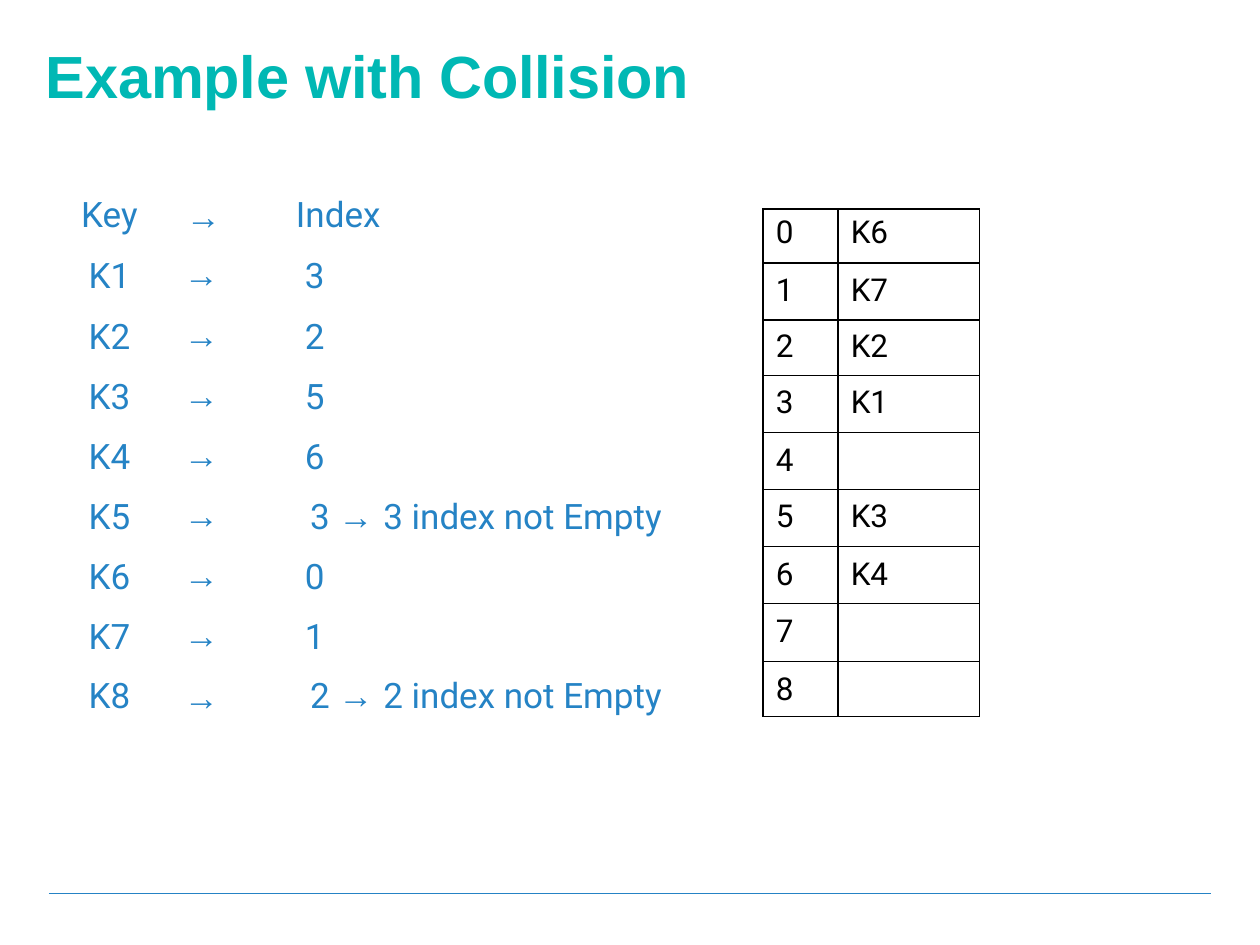
from lxml.etree import SubElement
from pptx import Presentation
from pptx.dml.color import RGBColor
from pptx.enum.shapes import MSO_CONNECTOR
from pptx.enum.text import MSO_ANCHOR, MSO_AUTO_SIZE, PP_ALIGN
from pptx.oxml.ns import qn
from pptx.util import Emu, Pt

# Content
TITLE = "Example with Collision"
ARROW = "→"
KEY_INDEXES = [
    ("Key", "Index"),
    ("K1", "3"),
    ("K2", "2"),
    ("K3", "5"),
    ("K4", "6"),
    ("K5", "3 → 3 index not Empty"),
    ("K6", "0"),
    ("K7", "1"),
    ("K8", "2 → 2 index not Empty"),
]
HASH_SLOTS = ["K6", "K7", "K2", "K1", "", "K3", "K4", "", ""]

THEME = {
    "title": "00B8B4", "mapping": "2583C5", "slot": "000000", "rule": "2583C5",
    "title_size": 34, "mapping_size": 20, "slot_size": 18,
    "title_font": "Arial", "arrow_font": "Arial", "body_font": "Roboto",
}

# Layout in px, 126 to the inch
MAPPING_COLUMNS = [93, 102, 404]
MAPPING_ROWS = [39, 71] + [60] * 6 + [49]
MAPPING_TOPS = [0, 18] + [8] * 7
SLOT_COLUMNS = [75, 142]
SLOT_ROWS = [54, 57, 56, 57, 57, 57, 57, 58, 55]
SLOT_TOPS = [5, 9, 8, 8, 9, 8, 9, 9, 9]


def px(length):
    return Emu(round(length * 914400 / 126))


def write(frame, text, *, size, color, font, bold=False, spacing=0,
          align=PP_ALIGN.LEFT, indent=0, line=None):
    """Fill the first paragraph; arrows get their own font."""
    paragraph = frame.paragraphs[0]
    paragraph.alignment = align
    paragraph._p.get_or_add_pPr().set("marL", str(px(indent)))
    paragraph._p.get_or_add_pPr().set("indent", "0")
    if line:
        paragraph.line_spacing = Pt(line)
    paragraph.font.size = Pt(size)
    before, arrow, after = text.partition(ARROW)
    gap = " " if after else ""
    pieces = [(before, font), (arrow + gap, THEME["arrow_font"]), (after.lstrip(), font)]
    for piece, face in pieces:
        if not piece:
            continue
        run = paragraph.add_run()
        run.text = piece
        run.font.name = face
        run.font.size = Pt(size)
        run.font.bold = bold
        run.font.color.rgb = RGBColor.from_string(color)
        if spacing:
            run._r.get_or_add_rPr().set("spc", str(round(spacing * 100)))
    if not text:
        SubElement(paragraph._p, qn("a:endParaRPr")).set("sz", str(size * 100))


def add_plain_table(slide, left, top, columns, rows, tops):
    table = slide.shapes.add_table(len(rows), len(columns), px(left), px(top),
                                   px(sum(columns)), px(sum(rows))).table
    table.first_row = table.horz_banding = False
    for column, width in zip(table.columns, columns):
        column.width = px(width)
    for row, height, inset in zip(table.rows, rows, tops):
        row.height = px(height)
        for cell in row.cells:
            cell.margin_left = cell.margin_right = cell.margin_bottom = 0
            cell.margin_top = px(inset)
            cell.fill.background()
    return table


def add_borders(cell, color, width):
    properties = cell._tc.get_or_add_tcPr()
    for position, side in enumerate(("lnL", "lnR", "lnT", "lnB")):
        border = properties.makeelement(qn(f"a:{side}"), {"w": str(Pt(width))})
        fill = SubElement(border, qn("a:solidFill"))
        SubElement(fill, qn("a:srgbClr")).set("val", color)
        properties.insert(position, border)


def add_title(slide):
    title = slide.shapes.title
    title.left, title.top, title.width, title.height = map(px, (45, 37, 651, 74))
    frame = title.text_frame
    frame.margin_left = frame.margin_right = frame.margin_bottom = 0
    frame.margin_top = px(2)
    frame.vertical_anchor = MSO_ANCHOR.TOP
    frame.auto_size = MSO_AUTO_SIZE.NONE
    frame.word_wrap = True
    write(frame, TITLE, size=THEME["title_size"], color=THEME["title"],
          font=THEME["title_font"], bold=True, spacing=-0.1, indent=1)


def add_mapping(slide):
    table = add_plain_table(slide, 63, 199, MAPPING_COLUMNS, MAPPING_ROWS, MAPPING_TOPS)
    style = {"size": THEME["mapping_size"], "color": THEME["mapping"],
             "font": THEME["body_font"]}
    last = len(KEY_INDEXES) - 1
    for number, (key, index) in enumerate(KEY_INDEXES):
        line = {0: 21.4, last: 23.2}.get(number)
        arrow_indent, index_indent = (30, 38) if number == 0 else (28, 47)
        collides = ARROW in index
        key_cell, arrow_cell, index_cell = table.rows[number].cells
        write(key_cell.text_frame, key, align=PP_ALIGN.CENTER, line=line, **style)
        write(arrow_cell.text_frame, ARROW, indent=arrow_indent, line=line, **style)
        write(index_cell.text_frame, index, line=line,
              align=PP_ALIGN.RIGHT if collides else PP_ALIGN.LEFT,
              indent=0 if collides else index_indent, **style)


def add_hash_table(slide):
    table = add_plain_table(slide, 763, 209, SLOT_COLUMNS, SLOT_ROWS, SLOT_TOPS)
    for number, key in enumerate(HASH_SLOTS):
        for cell, text, spacing in zip(table.rows[number].cells, (str(number), key), (0, -0.1)):
            write(cell.text_frame, text, size=THEME["slot_size"], color=THEME["slot"],
                  font=THEME["body_font"], spacing=spacing, indent=13)
            add_borders(cell, THEME["slot"], 0.75)


def add_footer_rule(slide):
    rule = slide.shapes.add_connector(MSO_CONNECTOR.STRAIGHT, px(49), px(893), px(1211), px(893))
    rule.line.color.rgb = RGBColor.from_string(THEME["rule"])
    rule.line.width = Pt(0.25)
    SubElement(rule._element.spPr, qn("a:effectLst"))


def main():
    deck = Presentation()
    deck.slide_width, deck.slide_height = px(1260), px(945)
    slide = deck.slides.add_slide(deck.slide_layouts[5])
    add_footer_rule(slide)
    add_title(slide)
    add_mapping(slide)
    add_hash_table(slide)
    deck.save("out.pptx")


if __name__ == "__main__":
    main()
